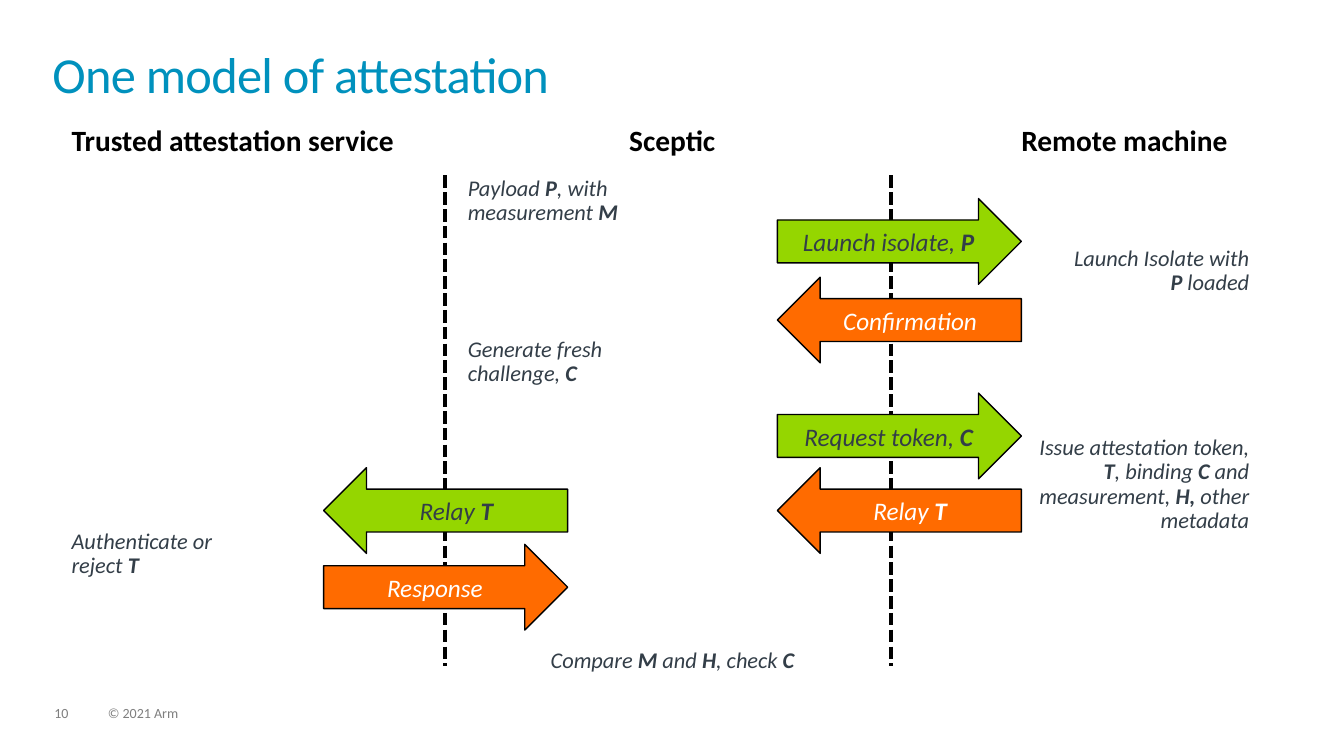
import pptx
import pptx.util
import pptx.dml.color
import pptx.oxml.ns
from pptx.enum.dml import MSO_LINE
from pptx.enum.shapes import MSO_CONNECTOR, MSO_SHAPE
from pptx.enum.text import MSO_ANCHOR, MSO_AUTO_SIZE, PP_ALIGN
from pptx.util import Inches
from lxml import etree

BLUE, BLACK, WHITE = "0091BD", "000000", "FFFFFF"
SLATE, GREY, GREEN, ORANGE = "333E48", "7F7F7F", "95D600", "FF6B00"
LEFT, CENTER, RIGHT = PP_ALIGN.LEFT, PP_ALIGN.CENTER, PP_ALIGN.RIGHT


def rgb(value):
    return pptx.dml.color.RGBColor.from_string(value)


class SlideBuilder:
    """Holds the style and the current slide."""

    font = "Calibri"
    arrow_size = (2.42, 0.85)

    def __init__(self, page):
        self.page = page

    def set_text(self, frame, text, size, color, align=LEFT, bold=None, italic=None):
        """Fill a frame; words between asterisks become bold."""
        para = frame.paragraphs[0]
        para.alignment = align
        para.font.name = self.font
        para.font.size = pptx.util.Pt(size)
        para.font.color.rgb = rgb(color)
        para.font.bold = bold
        para.font.italic = italic
        for index, part in enumerate(text.split("*")):
            if part:
                span = para.add_run()
                span.text = part
                if index % 2:
                    span.font.bold = True
        return para

    def clear_margins(self, frame):
        frame.margin_left = frame.margin_right = 0
        frame.margin_top = frame.margin_bottom = 0

    def title(self, text):
        box = self.page.shapes.title
        box.left, box.top = Inches(0.52), Inches(0.52)
        box.width, box.height = Inches(12.28), Inches(0.72)
        frame = box.text_frame
        self.clear_margins(frame)
        frame.auto_size = MSO_AUTO_SIZE.NONE
        frame.vertical_anchor = MSO_ANCHOR.TOP
        para = self.set_text(frame, text, 36, BLUE)
        para.line_spacing = 0.85
        para.runs[0].font._element.set("spc", "-50")

    def label(self, place, text, size, color, wrap=True, **style):
        box = self.page.shapes.add_textbox(*map(Inches, place))
        frame = box.text_frame
        self.clear_margins(frame)
        frame.word_wrap = wrap
        frame.auto_size = MSO_AUTO_SIZE.SHAPE_TO_FIT_TEXT
        para = self.set_text(frame, text, size, color, **style)
        para.line_spacing = 0.9
        para.space_after = pptx.util.Pt(6)

    def boundary(self, x):
        line = self.page.shapes.add_connector(
            MSO_CONNECTOR.STRAIGHT, Inches(x), Inches(1.74), Inches(x), Inches(6.61))
        line.line.color.rgb = rgb(BLACK)
        line.line.width = pptx.util.Pt(3)
        line.line.dash_style = MSO_LINE.SQUARE_DOT
        etree.SubElement(line._element.spPr, pptx.oxml.ns.qn("a:effectLst"))

    def arrow(self, kind, x, y, text, fill, color):
        shape = self.page.shapes.add_shape(
            kind, *map(Inches, (x, y, *self.arrow_size)))
        shape.shadow.inherit = False
        shape.fill.solid()
        shape.fill.fore_color.rgb = rgb(fill)
        shape.line.color.rgb = rgb(BLACK)
        shape.line.width = pptx.util.Pt(1)
        frame = shape.text_frame
        frame.word_wrap = True
        frame.vertical_anchor = MSO_ANCHOR.MIDDLE
        self.set_text(frame, text, 18, color, align=CENTER, italic=True)


def main():
    deck = pptx.Presentation()
    deck.slide_width, deck.slide_height = Inches(13.33), Inches(7.5)
    builder = SlideBuilder(deck.slides.add_slide(deck.slide_layouts[5]))

    # Title and footer
    builder.title("One model of attestation")
    builder.label((0.54, 7.01, 0.34, 0.15), "10", 10, GREY)
    builder.label((1.07, 7.01, 5.07, 0.15), "© 2021 Arm", 10, GREY)

    # Boundaries between the three parties
    for x in (4.41, 8.84):
        builder.boundary(x)

    # Party names
    for x, width, name in (
        (0.71, 3.23, "Trusted attestation service"),
        (6.24, 0.87, "Sceptic"),
        (10.13, 2.07, "Remote machine"),
    ):
        builder.label((x, 1.25, width, 0.32), name, 21, BLACK, wrap=False, bold=True)

    # Messages: green for requests, orange for replies
    request, reply = (GREEN, SLATE), (ORANGE, WHITE)
    to_left, to_right = MSO_SHAPE.LEFT_ARROW, MSO_SHAPE.RIGHT_ARROW
    service_x, machine_x = 3.21, 7.71
    for kind, x, y, text, colors in (
        (to_right, machine_x, 1.97, "Launch isolate, *P*", request),
        (to_left, machine_x, 2.75, "Confirmation", reply),
        (to_right, machine_x, 3.9, "Request token, *C*", request),
        (to_left, machine_x, 4.64, "Relay *T*", reply),
        (to_left, service_x, 4.64, "Relay *T*", request),
        (to_right, service_x, 5.4, "Response", reply),
    ):
        builder.arrow(kind, x, y, text, *colors)

    # Steps taken by each party
    for place, text, align in (
        ((4.64, 1.76, 1.6, 0.48), "Payload *P*, with measurement *M*", LEFT),
        ((10.58, 2.45, 1.81, 0.48), "Launch Isolate with *P* loaded", RIGHT),
        ((4.64, 3.35, 1.41, 0.48), "Generate fresh challenge, *C*", LEFT),
        ((10.26, 4.33, 2.13, 0.97),
         "Issue attestation token, *T*, binding *C* and measurement, *H,* other metadata",
         RIGHT),
        ((0.71, 5.26, 1.45, 0.48), "Authenticate or reject *T*", LEFT),
        ((5.25, 6.44, 2.84, 0.24), "Compare *M* and *H*, check *C*", CENTER),
    ):
        builder.label(place, text, 16, SLATE, align=align, italic=True)

    deck.save("out.pptx")


if __name__ == "__main__":
    main()
